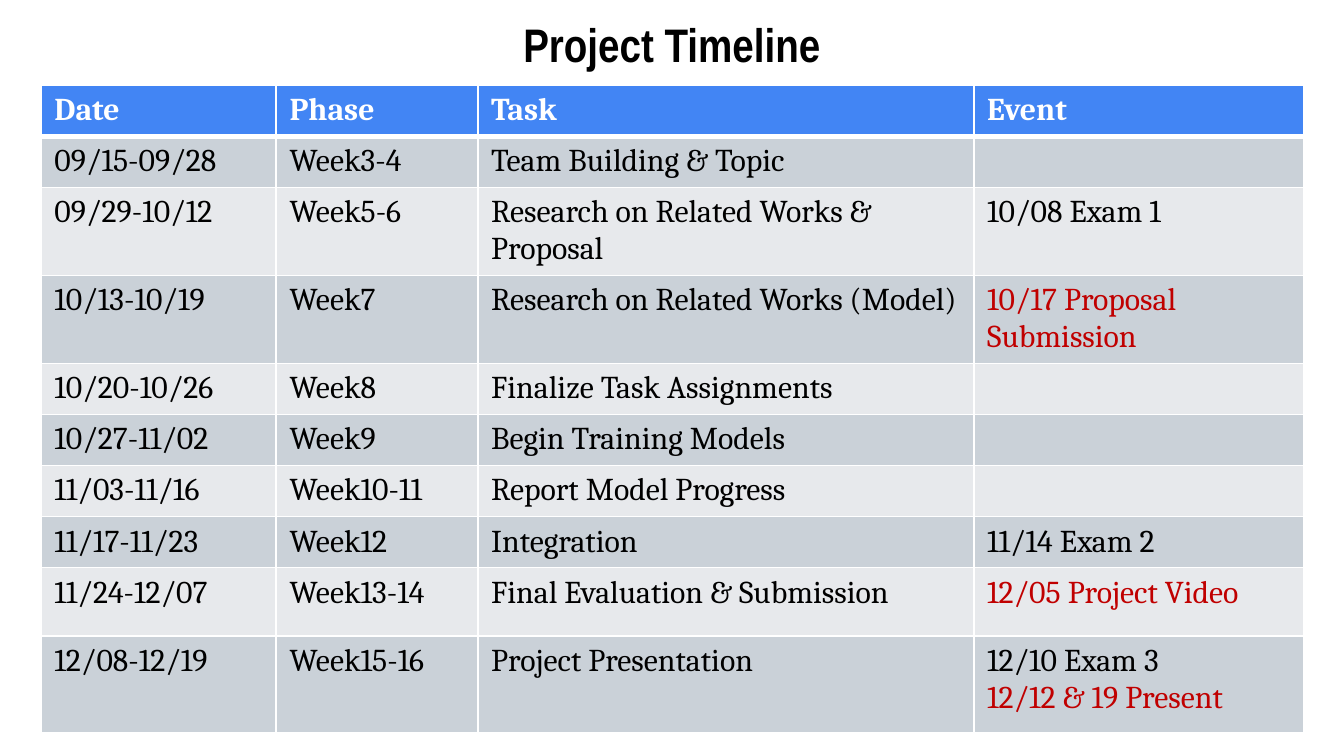
from lxml import etree
from pptx import Presentation
from pptx.dml.color import RGBColor
from pptx.enum.text import MSO_ANCHOR, MSO_AUTO_SIZE, PP_ALIGN
from pptx.oxml.ns import qn
from pptx.util import Emu, Pt

CENTER = PP_ALIGN.CENTER
MIDDLE = MSO_ANCHOR.MIDDLE
NO_FIT = MSO_AUTO_SIZE.NONE
TITLE_ONLY = 5

BLACK = RGBColor(0x00, 0x00, 0x00)
WHITE = RGBColor(0xFF, 0xFF, 0xFF)
RED = RGBColor(0xC0, 0x00, 0x00)
BLUE = RGBColor(0x42, 0x85, 0xF4)
BANDS = (RGBColor(0xE7, 0xE9, 0xEC), RGBColor(0xCA, 0xD1, 0xD8))

TITLE_FONT = {"name": "Arial Narrow", "size": Pt(25.2), "bold": True}
HEAD_FONT = {"name": "Cambria", "size": Pt(17), "bold": True}
BODY_FONT = {**HEAD_FONT, "bold": False}

COLUMNS = (350, 300, 738, 491)
HEADINGS = ("Date", "Phase", "Task", "Event")
DEADLINES = ("10/17 Proposal Submission", "12/05 Project Video", "12/12 & 19 Present")
SCHEDULE = (
    (76, "09/15-09/28", "Week3-4", "Team Building & Topic", ""),
    (131, "09/29-10/12", "Week5-6", "Research on Related Works & Proposal", "10/08 Exam 1"),
    (131, "10/13-10/19", "Week7", "Research on Related Works (Model)", "10/17 Proposal Submission"),
    (76, "10/20-10/26", "Week8", "Finalize Task Assignments", ""),
    (76, "10/27-11/02", "Week9", "Begin Training Models", ""),
    (76, "11/03-11/16", "Week10-11", "Report Model Progress", ""),
    (76, "11/17-11/23", "Week12", "Integration", "11/14 Exam 2"),
    (102, "11/24-12/07", "Week13-14", "Final Evaluation & Submission", "12/05 Project Video"),
    (144, "12/08-12/19", "Week15-16", "Project Presentation", "12/10 Exam 3\n12/12 & 19 Present"),
)


def px(n):
    """Convert px, at 200 to the inch, into EMU."""
    return Emu(n * 4572)


def format_font(font, values, color):
    """Apply a dict of font values and a colour."""
    for name, value in values.items():
        setattr(font, name, value)
    font.color.rgb = color


def add_title(s, text):
    """Place and format the slide title."""
    sp = s.shapes.title
    sp.left, sp.top, sp.width, sp.height = px(100), px(24), px(1800), px(82)
    tf = sp.text_frame
    margins = {f"margin_{side}": px(20) for side in ("left", "top", "right", "bottom")}
    for name, value in {**margins, "vertical_anchor": MIDDLE, "auto_size": NO_FIT}.items():
        setattr(tf, name, value)
    p = tf.paragraphs[0]
    p.alignment = CENTER
    r = p.add_run()
    r.text = text
    format_font(r.font, TITLE_FONT, BLACK)


def add_borders(cell, top, bottom):
    """Draw white cell borders with the given top and bottom point widths."""
    tcPr = cell._tc.get_or_add_tcPr()
    for side, width in (("L", 1), ("R", 1), ("T", top), ("B", bottom)):
        ln = etree.SubElement(tcPr, qn(f"a:ln{side}"), w=str(Pt(width)))
        fill = etree.SubElement(ln, qn("a:solidFill"))
        etree.SubElement(fill, qn("a:srgbClr"), val=str(WHITE))


def size_empty(p):
    """Give an empty paragraph the body font, so that its row keeps its height."""
    end = etree.SubElement(p._p, qn("a:endParaRPr"), sz="1700")
    etree.SubElement(end, qn("a:latin"), typeface=BODY_FONT["name"])


def fill_cell(cell, text, row):
    """Write and style one table cell according to its row."""
    add_borders(cell, 3 if row == 1 else 1, 3 if row == 0 else 1)
    cell.fill.solid()
    cell.fill.fore_color.rgb = BANDS[row % 2] if row else BLUE
    tf = cell.text_frame
    for i, line in enumerate(text.split("\n")):
        p = tf.add_paragraph() if i else tf.paragraphs[0]
        if not line:
            size_empty(p)
            continue
        r = p.add_run()
        r.text = line
        color = RED if line in DEADLINES else BLACK
        format_font(r.font, BODY_FONT if row else HEAD_FONT, color if row else WHITE)


def add_schedule(s):
    """Add the timeline table."""
    rows = ((76, *HEADINGS), *SCHEDULE)
    height = sum(row[0] for row in rows)
    table = s.shapes.add_table(
        len(rows), len(COLUMNS), px(61), px(127), px(sum(COLUMNS)), px(height)
    ).table
    for column, width in zip(table.columns, COLUMNS):
        column.width = px(width)
    for i, (row_height, *texts) in enumerate(rows):
        table.rows[i].height = px(row_height)
        for j, text in enumerate(texts):
            fill_cell(table.cell(i, j), text, i)


def main():
    """Build and save the slide."""
    prs = Presentation()
    prs.slide_width, prs.slide_height = px(2000), px(1125)
    s = prs.slides.add_slide(prs.slide_layouts[TITLE_ONLY])
    add_title(s, "Project Timeline")
    add_schedule(s)
    prs.save("out.pptx")


if __name__ == "__main__":
    main()
